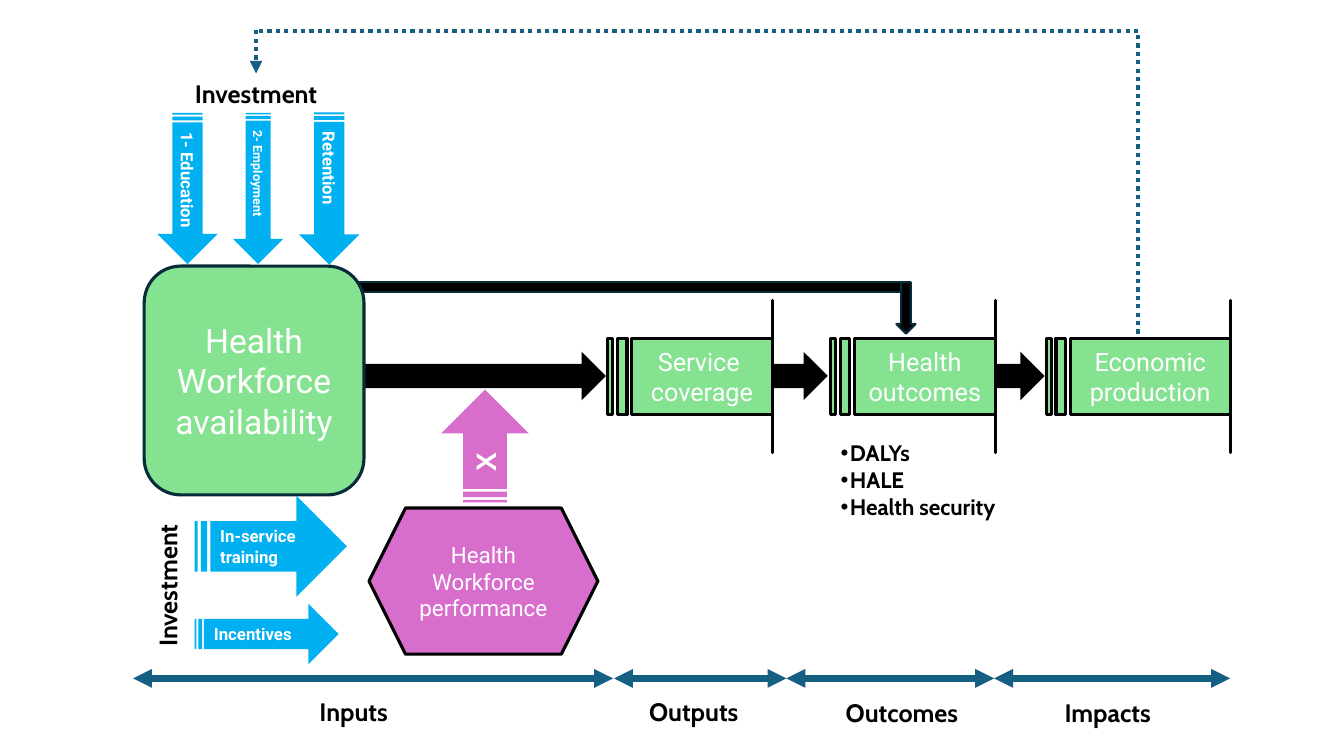
"""Draw the path from health workforce investment to economic impacts."""
import pptx
import pptx.util
import pptx.dml.color
import pptx.enum.dml
import pptx.enum.shapes
import pptx.enum.text
import pptx.oxml.ns
import lxml.etree

SCALE = 9144
BLACK, WHITE, NAVY, TEAL = "000000", "FFFFFF", "092A39", "156082"
GREEN, BLUE, PINK = "84E291", "00B0F0", "D86ECC"
KIND = pptx.enum.shapes.MSO_SHAPE
ALIGN = pptx.enum.text.PP_ALIGN
ANCHOR = pptx.enum.text.MSO_ANCHOR


def px(*values):
    return [pptx.util.Emu(value * SCALE) for value in values]


def paint(color, value):
    color.rgb = pptx.dml.color.RGBColor.from_string(value)


def child(parent, tag, **attrs):
    return lxml.etree.SubElement(parent, pptx.oxml.ns.qn(tag), attrs)


def write(frame, text, size=18, font="Roboto", color=WHITE, bold=False,
          align=ALIGN.CENTER, anchor=ANCHOR.MIDDLE, bullet=None):
    frame.vertical_anchor = anchor
    for index, words in enumerate(text.split("\n")):
        para = frame.add_paragraph() if index else frame.paragraphs[0]
        para.alignment = align
        if bullet:
            props = para._p.get_or_add_pPr()
            props.set("marL", str(9 * SCALE))
            props.set("indent", str(-9 * SCALE))
            child(props, "a:buFont", typeface="Arial")
            child(props, "a:buChar", char=bullet)
        run = para.add_run()
        run.text = words
        run.font.size = pptx.util.Pt(size)
        run.font.name = font
        run.font.bold = bold
        paint(run.font.color, color)


class Chart:
    def __init__(self, deck):
        self.slide = deck.slides.add_slide(deck.slide_layouts[6])
        self.shapes = self.slide.shapes

    def shape(self, kind, box, fill, line=None, width=2.25, turn=0, adj=(),
              text=None, **style):
        item = self.shapes.add_shape(kind, *px(*box))
        item.shadow.inherit = False
        item.rotation = turn
        for index, value in enumerate(adj):
            item.adjustments[index] = value
        item.fill.solid()
        paint(item.fill.fore_color, fill)
        if line:
            paint(item.line.color, line)
            item.line.width = pptx.util.Pt(width)
        else:
            item.line.fill.background()
        if text:
            item.text_frame.word_wrap = True
            write(item.text_frame, text, **style)

    def stripe(self, box, text, fill=BLUE, turn=0, size=12, font="Roboto"):
        self.shape(KIND.STRIPED_RIGHT_ARROW, box, fill, turn=turn, text=text,
                   size=size, font=font, bold=True, align=ALIGN.LEFT,
                   anchor=ANCHOR.TOP)

    def stage(self, left, width, text):
        self.shape(KIND.STRIPED_RIGHT_ARROW, (left, 298, width, 151), GREEN,
                   BLACK, adj=(0.5, 0), text=text)

    def link(self, left, width):
        self.shape(KIND.RIGHT_ARROW, (left, 349, width, 48), BLACK)

    def label(self, box, text, wrap=True, turn=0, size=18,
              align=ALIGN.CENTER, bullet=None):
        item = self.shapes.add_textbox(*px(*box))
        item.rotation = turn
        item.text_frame.word_wrap = wrap
        item.text_frame.auto_size = pptx.enum.text.MSO_AUTO_SIZE.SHAPE_TO_FIT_TEXT
        write(item.text_frame, text, size=size, font="Cabin", color=BLACK,
              bold=True, align=align, anchor=ANCHOR.TOP, bullet=bullet)

    def line(self, ends, width, dots=False, head=False, tail=False):
        item = self.shapes.add_connector(
            pptx.enum.shapes.MSO_CONNECTOR.STRAIGHT, *px(*ends))
        paint(item.line.color, TEAL)
        item.line.width = pptx.util.Pt(width)
        if dots:
            item.line.dash_style = pptx.enum.dml.MSO_LINE.ROUND_DOT
        stroke = item.line._get_or_add_ln()
        if head:
            child(stroke, "a:headEnd", type="triangle")
        if tail:
            child(stroke, "a:tailEnd", type="triangle")
        child(item._element.spPr, "a:effectLst")


def main():
    deck = pptx.Presentation()
    deck.slide_width, deck.slide_height = px(1333, 750)
    chart = Chart(deck)

    chart.shape(KIND.RECTANGLE, (350, 280, 553, 10), BLACK, NAVY, 1.5)
    chart.shape(KIND.DOWN_ARROW, (889, 280, 19, 51), BLACK, NAVY, 1.5)
    for left, width in ((361, 240), (766, 55), (981, 55)):
        chart.link(left, width)

    chart.shape(KIND.HEXAGON, (366, 504, 227, 145), PINK, BLACK,
                text="Health Workforce performance", size=16)
    chart.stripe((425, 399, 112, 87), " X", PINK, 270, 20, "Arial")
    chart.stripe((251, 157, 151, 60), "Retention", turn=90)
    chart.stripe((181, 162, 150, 50), "2- Employment", turn=90, size=9)
    chart.stripe((111, 157, 150, 60), "1- Education", turn=90)

    chart.stage(603, 163, "Service \ncoverage")
    chart.stage(824, 163, "Health\noutcomes")
    chart.stage(1038, 182, "Economic production")
    chart.shape(KIND.ROUNDED_RECTANGLE, (143, 264, 218, 227), GREEN, NAVY,
                text="Health Workforce availability", size=24)
    chart.label((824, 431, 191, 91), "DALYs\nHALE\nHealth security",
                size=16, align=ALIGN.LEFT, bullet="•")
    chart.stripe((193, 492, 151, 100), "In-service training")
    chart.stripe((193, 599, 143, 60), "Incentives")

    for start, end, left, top, width, name in (
            (132, 608, 307, 686, 93, "Inputs"),
            (609, 780, 634, 686, 114, "Outputs"),
            (780, 986, 829, 687, 140, "Outcomes"),
            (986, 1220, 1046, 687, 114, "Impacts")):
        chart.line((start, 673, end, 673), 4.5, head=True, tail=True)
        chart.label((left, top, width, 40), name, wrap=False, align=ALIGN.LEFT)

    chart.label((157, 73, 194, 40), "Investment")
    chart.label((69, 561, 194, 40), "Investment", turn=270)
    chart.line((1129, 331, 1129, 34), 3, dots=True)
    chart.line((1129, 31, 254, 31), 3, dots=True)
    chart.line((254, 30, 254, 73), 3, dots=True, tail=True)
    deck.save("out.pptx")


if __name__ == "__main__":
    main()
